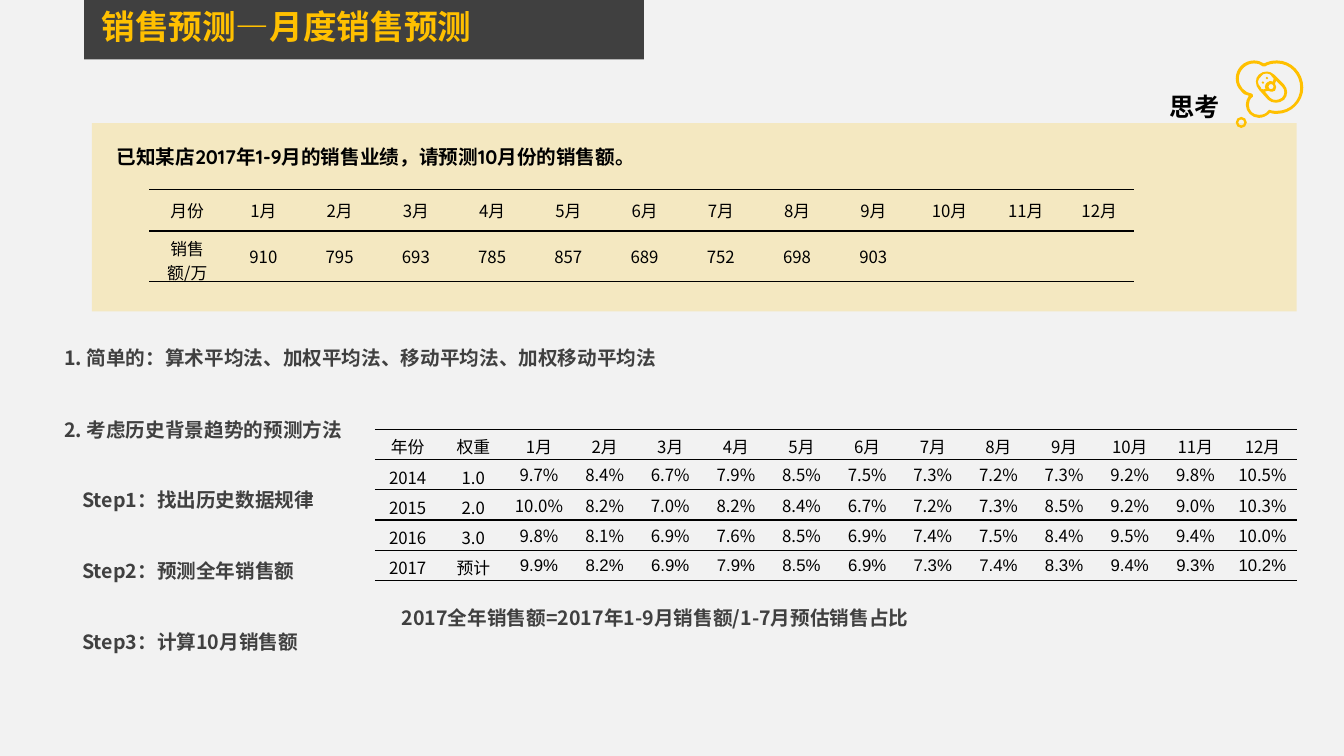
from lxml.etree import SubElement
from pptx import Presentation
from pptx.dml.color import RGBColor
from pptx.enum.shapes import MSO_SHAPE as Preset
from pptx.enum.text import MSO_ANCHOR as Anchor, PP_ALIGN as Align
from pptx.oxml.ns import qn
from pptx.util import Pt

COLORS = {"page": "F2F2F2", "dark": "404040", "gold": "FFC000", "black": "000000"}
SANS, ROUND, ARIAL = "Noto Sans CJK SC", "Quicksand", "Arial"
MONTHS = [f"{month}月" for month in range(1, 13)]
SALES = [
    ["月份", *MONTHS],
    ["销售额/万", *"910 795 693 785 857 689 752 698 903".split(), "", "", ""],
]
SHARES = [
    ["年份", "权重", *MONTHS],
    "2014 1.0 9.7% 8.4% 6.7% 7.9% 8.5% 7.5% 7.3% 7.2% 7.3% 9.2% 9.8% 10.5%".split(),
    "2015 2.0 10.0% 8.2% 7.0% 8.2% 8.4% 6.7% 7.2% 7.3% 8.5% 9.2% 9.0% 10.3%".split(),
    "2016 3.0 9.8% 8.1% 6.9% 7.6% 8.5% 6.9% 7.4% 7.5% 8.4% 9.5% 9.4% 10.0%".split(),
    "2017 预计 9.9% 8.2% 6.9% 7.9% 8.5% 6.9% 7.3% 7.4% 8.3% 9.4% 9.3% 10.2%".split(),
]

# Bubble outlines in hundredths of an inch: pairs are corners, sextuples are curves.
CLOUD_OUTER = [
    (41, 0), (36, 0, 32, 1, 28, 3), (25, 1, 22, 0, 18, 0), (8, 0, 0, 8, 0, 18),
    (0, 23, 2, 27, 5, 30), (7, 33, 10, 35, 13, 35), (11, 38, 10, 41, 10, 44),
    (10, 51, 16, 57, 23, 57), (27, 57, 31, 55, 34, 52), (36, 53, 38, 53, 41, 53),
    (55, 53, 67, 41, 67, 27), (67, 12, 55, 0, 41, 0),
]
CLOUD_INNER = [
    (41, 50), (38, 50, 36, 50, 33, 49), (33, 49, 32, 49, 32, 50),
    (30, 53, 27, 54, 23, 54), (17, 54, 13, 50, 13, 44), (13, 41, 14, 38, 17, 36),
    (17, 35, 17, 35, 17, 34), (17, 34, 17, 33, 16, 33), (9, 32, 3, 26, 3, 18),
    (3, 10, 10, 3, 18, 3), (22, 3, 25, 4, 27, 6), (28, 6, 28, 6, 29, 6),
    (32, 4, 36, 3, 41, 3), (54, 3, 64, 14, 64, 27), (64, 40, 54, 50, 41, 50),
]
CAPSULE = [
    (38, 14), (36, 12, 33, 11, 31, 11), (28, 11, 25, 12, 23, 14),
    (21, 16, 20, 18, 20, 21), (20, 24, 21, 27, 23, 29), (23, 29, 32, 39, 32, 39),
    (34, 41, 37, 42, 40, 42), (43, 42, 45, 41, 48, 39), (52, 35, 52, 28, 48, 24),
    (38, 14),
]
CAPSULE_TOP = [
    (25, 28), (25, 27), (23, 25, 22, 23, 22, 21), (23, 19, 23, 17, 25, 16),
    (26, 14, 28, 13, 30, 13), (30, 13, 30, 13, 31, 13), (33, 13, 35, 14, 36, 16),
    (38, 17, 38, 19, 37, 21), (35, 20, 33, 20, 31, 22), (30, 23, 29, 24, 29, 26),
    (29, 27, 29, 28, 30, 28), (28, 29, 27, 29, 25, 28),
]
CAPSULE_BOTTOM = [
    (46, 37), (42, 40, 37, 40, 34, 37), (29, 31), (30, 31, 31, 31, 32, 30),
    (33, 31, 34, 31, 35, 31), (36, 31, 37, 31, 39, 30), (40, 28, 41, 25, 39, 23),
    (40, 22, 40, 21, 40, 20), (46, 26), (49, 29, 49, 34, 46, 37),
]
CIRCLES = [(5.5, 61.5, 5.5), (5.5, 61.5, 3), (35, 26, 2.6), (31, 17.5, 1.3), (27, 22, 1.3)]


def rgb(name):
    return RGBColor.from_string(COLORS[name])


def write(frame, lines, size=14, font=SANS, color="black", bold=False,
          align=None, spacing=None, gap=0, indents=()):
    """Fill a text frame, one paragraph a line, with gap points between them."""
    for index, line in enumerate(lines):
        paragraph = frame.paragraphs[0] if index == 0 else frame.add_paragraph()
        paragraph.alignment = align
        paragraph.line_spacing = spacing
        if index and gap:
            paragraph.space_before = Pt(gap)
        if indents:
            paragraph._p.get_or_add_pPr().set("marL", str(Pt(indents[index])))
        run = paragraph.add_run()
        run.text = line
        run.font.size, run.font.bold, run.font.name = Pt(size), bold, font
        run.font.color.rgb = rgb(color)
        SubElement(run._r.get_or_add_rPr(), qn("a:ea"), typeface=SANS)


def add_text(slide, box, *lines, anchor=Anchor.TOP, wrap=True, **text_format):
    frame = slide.shapes.add_textbox(*map(Pt, box)).text_frame
    frame.word_wrap = wrap
    frame.vertical_anchor = anchor
    write(frame, lines, **text_format)


def paint(shape, color, alpha=None):
    shape.shadow.inherit = False
    shape.fill.solid()
    shape.fill.fore_color.rgb = rgb(color)
    shape.line.fill.background()
    if alpha:
        fill = shape._element.spPr.find(qn("a:solidFill"))
        SubElement(fill[0], qn("a:alpha"), val=str(alpha * 1000))


def add_panel(slide, box, color, alpha=None):
    paint(slide.shapes.add_shape(Preset.RECTANGLE, *map(Pt, box)), color, alpha)


def rule_cell(cell):
    """Draw lines above and below a cell only."""
    properties = cell._tc.get_or_add_tcPr()
    for side in "LRTB":
        line = SubElement(properties, qn(f"a:ln{side}"), w=str(Pt(1)))
        if side in "LR":
            SubElement(line, qn("a:noFill"))
        else:
            fill = SubElement(line, qn("a:solidFill"))
            SubElement(fill, qn("a:srgbClr"), val=COLORS["black"])
    cell.fill.background()


def add_ruled_table(slide, box, rows, row_height, last_width,
                    tight_from=None, last_row_font=SANS):
    """Add a table; body cells from column tight_from on have no margins."""
    column_count = len(rows[0])
    frame = slide.shapes.add_table(len(rows), column_count, *map(Pt, box))
    table = frame.table
    table.first_row = table.horz_banding = False
    for column in table.columns:
        column.width = Pt((box[2] - last_width) / (column_count - 1))
    table.columns[column_count - 1].width = Pt(last_width)
    for row_index, values in enumerate(rows):
        table.rows[row_index].height = Pt(row_height)
        for column_index, value in enumerate(values):
            cell = table.cell(row_index, column_index)
            cell.vertical_anchor = Anchor.MIDDLE
            font = SANS
            if tight_from and row_index and column_index >= tight_from:
                cell.margin_left = cell.margin_right = 0
                cell.margin_top = cell.margin_bottom = 0
                if row_index == len(rows) - 1:
                    font = last_row_font
            rule_cell(cell)
            if value:
                write(cell.text_frame, [value], size=12, font=font, align=Align.CENTER)
    frame.height = Pt(box[3])


def circle_outline(x, y, radius):
    """Four quarter curves, each turned from the one before."""
    bend = 0.55 * radius
    dx, dy = radius, 0
    outline = [(x + dx, y)]
    for _ in range(4):
        next_dx, next_dy = -dy, dx
        ratio = bend / radius
        outline.append((x + dx + next_dx * ratio, y + dy + next_dy * ratio,
                        x + next_dx + dx * ratio, y + next_dy + dy * ratio,
                        x + next_dx, y + next_dy))
        dx, dy = next_dx, next_dy
    return outline


def bend_line(line, controls):
    """Turn a straight segment of a path into a cubic curve."""
    line.tag = qn("a:cubicBezTo")
    for index in (0, 2):
        point = line.makeelement(qn("a:pt"), x=str(controls[index]), y=str(controls[index + 1]))
        line.insert(index // 2, point)


def add_thought_bubble(slide, left, top):
    precision = 100
    outlines = [CLOUD_OUTER, CLOUD_INNER, CAPSULE, CAPSULE_TOP, CAPSULE_BOTTOM]
    outlines += [circle_outline(*circle) for circle in CIRCLES]
    outlines = [[tuple(round(value * precision) for value in segment)
                 for segment in outline] for outline in outlines]
    builder = slide.shapes.build_freeform(*outlines[0][0], scale=Pt(0.72) / precision)
    for index, (start, *segments) in enumerate(outlines):
        if index:
            builder.move_to(*start)
        builder.add_line_segments([segment[-2:] for segment in segments], close=True)
    shape = builder.convert_to_shape(Pt(left), Pt(top))
    lines = list(shape._element.iter(qn("a:lnTo")))
    segments = [segment for outline in outlines for segment in outline[1:]]
    for line, segment in zip(lines, segments):
        if len(segment) == 6:
            bend_line(line, segment[:4])
    paint(shape, "gold")


def main():
    presentation = Presentation()
    presentation.slide_width, presentation.slide_height = Pt(960), Pt(540)
    slide = presentation.slides.add_slide(presentation.slide_layouts[6])
    slide.background.fill.solid()
    slide.background.fill.fore_color.rgb = rgb("page")

    add_panel(slide, (60, 0, 400, 42.5), "dark")
    add_panel(slide, (65.7, 88, 860.6, 134.5), "gold", alpha=20)
    add_text(slide, (65.5, 4, 415, 33), "销售预测—月度销售预测", size=24, font=ROUND,
             color="gold", bold=True, spacing=0.9, anchor=Anchor.MIDDLE)
    add_text(slide, (76.3, 91.5, 553.5, 32.5),
             "已知某店2017年1-9月的销售业绩，请预测10月份的销售额。",
             font=ROUND, bold=True, spacing=1.5)
    add_ruled_table(slide, (106.5, 135.5, 704, 65.5), SALES, 29.5, 50.4)
    add_thought_bubble(slide, 882.7, 43.2)
    add_text(slide, (827.8, 61.6, 51, 29), "思考", size=18, font=ROUND, bold=True,
             align=Align.CENTER, wrap=False)

    note = {"color": "dark", "bold": True}
    add_text(slide, (38.8, 243.2, 530.5, 24.5),
             "1. 简单的：算术平均法、加权平均法、移动平均法、加权移动平均法", **note)
    add_text(slide, (38.8, 286.5, 530.5, 185), "2. 考虑历史背景趋势的预测方法",
             "Step1：找出历史数据规律", "Step2：预测全年销售额", "Step3：计算10月销售额",
             spacing=1.5, gap=25.2, indents=(0, 12.8, 12.8, 12.8), **note)
    add_ruled_table(slide, (267.8, 306.6, 658.7, 108), SHARES, 15, 49,
                    tight_from=2, last_row_font=ARIAL)
    add_text(slide, (279.7, 429, 530.5, 24.5),
             "2017全年销售额=2017年1-9月销售额/1-7月预估销售占比", **note)
    presentation.save("out.pptx")


if __name__ == "__main__":
    main()
